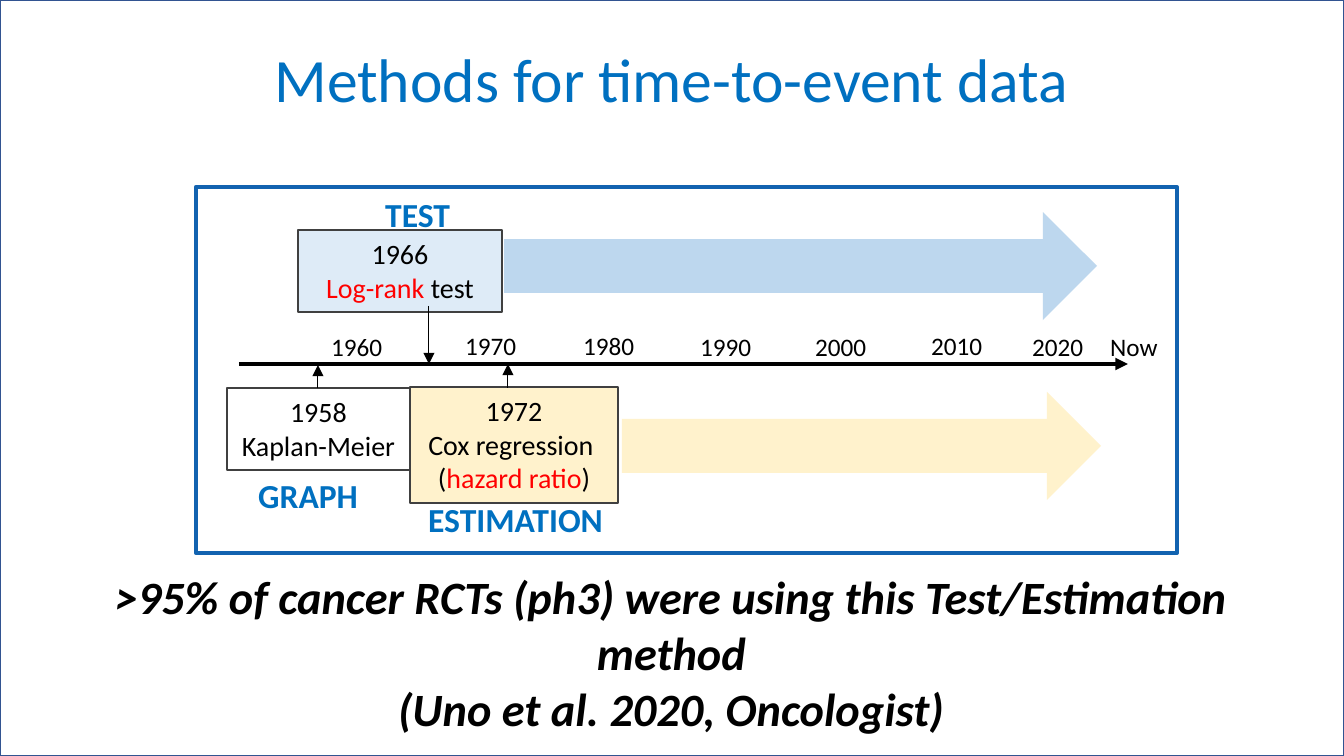
from dataclasses import dataclass
from typing import Any, Optional

from lxml.etree import SubElement
from pptx import Presentation
from pptx.dml.color import RGBColor
from pptx.enum.shapes import MSO_CONNECTOR as Connector, MSO_SHAPE as Preset
from pptx.enum.text import MSO_ANCHOR as Anchor, MSO_AUTO_SIZE as AutoSize, PP_ALIGN as Align
from pptx.oxml.ns import qn
from pptx.util import Emu, Pt

SLIDE_WIDTH, SLIDE_HEIGHT = 1344, 756
EMU_PER_PX = 9144000 / SLIDE_WIDTH
FONT = "Calibri"

BLACK = RGBColor(0x00, 0x00, 0x00)
WHITE = RGBColor(0xFF, 0xFF, 0xFF)
RED = RGBColor(0xFF, 0x00, 0x00)
HEADING_BLUE = RGBColor(0x00, 0x70, 0xC0)
BORDER_BLUE = RGBColor(0x32, 0x54, 0x91)
FRAME_BLUE = RGBColor(0x12, 0x63, 0xB0)
BOX_GRAY = RGBColor(0x40, 0x40, 0x40)
TEST_FILL = RGBColor(0xDE, 0xEB, 0xF7)
TEST_ARROW = RGBColor(0xBD, 0xD7, 0xEE)
ESTIMATION_FILL = RGBColor(0xFF, 0xF2, 0xCC)

YEAR_FORMAT = {"size": Pt(13.5)}
BOX_FORMAT = {"size": Pt(15)}
ROLE_FORMAT = {"size": Pt(18), "bold": True}
CLAIM_FORMAT = {"size": Pt(24.8), "bold": True, "italic": True}
TITLE_FORMAT = {"size": Pt(33)}


@dataclass(frozen=True)
class Area:
    left: int
    top: int
    width: int
    height: int

    def emu(self) -> list[Emu]:
        return [px(n) for n in (self.left, self.top, self.width, self.height)]


@dataclass(frozen=True)
class Run:
    text: str
    color: RGBColor = BLACK


@dataclass(frozen=True)
class Panel:
    area: Area
    fill: Optional[RGBColor] = None
    line: Optional[RGBColor] = None
    weight: float = 0.75
    preset: Any = Preset.RECTANGLE


@dataclass(frozen=True)
class Method:
    panel: Panel
    lines: list[list[Run]]
    wrap: bool = True


@dataclass(frozen=True)
class Label:
    text: str
    area: Area


@dataclass(frozen=True)
class Pointer:
    x: int
    start: int
    end: int


# Background and timeline frame
BACKDROPS = [
    Panel(Area(0, 0, SLIDE_WIDTH, SLIDE_HEIGHT), WHITE, BORDER_BLUE, 1),
    Panel(Area(196, 187, 981, 366), WHITE, FRAME_BLUE, 2.25),
]
METHODS = [
    Method(Panel(Area(227, 388, 183, 82), None, BOX_GRAY),
           [[Run("1958")], [Run("Kaplan-Meier")]], wrap=False),
    Method(Panel(Area(298, 230, 204, 82), TEST_FILL, BOX_GRAY),
           [[Run("1966")], [Run("Log-rank", RED), Run(" test")]]),
    Method(Panel(Area(410, 387, 208, 116), ESTIMATION_FILL, BOX_GRAY),
           [[Run("1972")], [Run("Cox regression ")],
            [Run("("), Run("hazard ratio", RED), Run(")")]]),
]
YEARS = [
    Label(text, Area(left, top, width, 44)) for text, left, top, width in (
        ("1960", 318, 325, 79), ("1970", 452, 324, 79), ("1980", 570, 324, 79),
        ("1990", 687, 325, 79), ("2000", 802, 325, 79), ("2010", 918, 324, 79),
        ("2020", 1019, 325, 79), ("Now", 1097, 325, 75))
]
ROLES = [
    Label("TEST", Area(372, 187, 93, 54)),
    Label("ESTIMATION", Area(415, 492, 203, 54)),
    Label("GRAPH", Area(245, 468, 128, 54)),
]
POINTERS = [Pointer(429, 306, 364), Pointer(318, 388, 365), Pointer(508, 388, 364)]
BLOCK_ARROWS = [
    Panel(Area(504, 212, 593, 108), TEST_ARROW, preset=Preset.RIGHT_ARROW),
    Panel(Area(622, 392, 479, 108), ESTIMATION_FILL, preset=Preset.RIGHT_ARROW),
]


def px(length: int) -> Emu:
    return Emu(round(length * EMU_PER_PX))


def write_lines(frame, lines: list[list[Run]], formats: dict, align=Align.CENTER) -> None:
    for index, runs in enumerate(lines):
        paragraph = frame.add_paragraph() if index else frame.paragraphs[0]
        paragraph.alignment = align
        for item in runs:
            run = paragraph.add_run()
            run.text = item.text
            run.font.color.rgb = item.color
            for name, value in {"name": FONT, **formats}.items():
                setattr(run.font, name, value)


def draw_panel(slide, panel: Panel):
    shape = slide.shapes.add_shape(panel.preset, *panel.area.emu())
    shape.shadow.inherit = False
    if panel.fill is None:
        shape.fill.background()
    else:
        shape.fill.solid()
        shape.fill.fore_color.rgb = panel.fill
    if panel.line is None:
        shape.line.fill.background()
    else:
        shape.line.color.rgb = panel.line
        shape.line.width = Pt(panel.weight)
    return shape


def draw_method(slide, method: Method) -> None:
    frame = draw_panel(slide, method.panel).text_frame
    frame.word_wrap = method.wrap
    frame.auto_size = AutoSize.SHAPE_TO_FIT_TEXT
    frame.vertical_anchor = Anchor.TOP
    write_lines(frame, method.lines, BOX_FORMAT)


def draw_label(slide, label: Label, color: RGBColor, formats: dict) -> None:
    frame = slide.shapes.add_textbox(*label.area.emu()).text_frame
    frame.word_wrap = False
    frame.auto_size = AutoSize.SHAPE_TO_FIT_TEXT
    write_lines(frame, [[Run(label.text, color)]], formats, Align.LEFT)


def draw_arrow(slide, x1: int, y1: int, x2: int, y2: int, weight: float) -> None:
    arrow = slide.shapes.add_connector(Connector.STRAIGHT, px(x1), px(y1), px(x2), px(y2))
    arrow.line.color.rgb = BLACK
    arrow.line.width = Pt(weight)
    SubElement(arrow.line._get_or_add_ln(), qn("a:tailEnd"), type="triangle")
    SubElement(arrow._element.spPr, qn("a:effectLst"))


def draw_claim(slide) -> None:
    frame = slide.shapes.add_textbox(*Area(26, 578, 1291, 148).emu()).text_frame
    frame.word_wrap = True
    frame.vertical_anchor = Anchor.MIDDLE
    write_lines(frame, [
        [Run(">95% of cancer RCTs (ph3) were using this Test/Estimation method")],
        [Run("(Uno et al. 2020, Oncologist)")],
    ], CLAIM_FORMAT)


def draw_title(slide) -> None:
    title = slide.shapes.title
    title.left, title.top, title.width, title.height = Area(218, 31, 907, 103).emu()
    title.text_frame.vertical_anchor = Anchor.MIDDLE
    write_lines(title.text_frame, [[Run("Methods for time-to-event data", HEADING_BLUE)]],
                TITLE_FORMAT)
    title.text_frame.paragraphs[0].line_spacing = 0.9
    # Bring the title in front of the background
    slide.shapes._spTree.append(title._element)


def main() -> None:
    presentation = Presentation()
    presentation.slide_width, presentation.slide_height = px(SLIDE_WIDTH), px(SLIDE_HEIGHT)
    slide = presentation.slides.add_slide(presentation.slide_layouts[5])

    for panel in BACKDROPS:
        draw_panel(slide, panel)

    # Time axis, methods and their dates
    draw_arrow(slide, 239, 364, 1128, 364, 2.25)
    for method in METHODS:
        draw_method(slide, method)
    for year in YEARS:
        draw_label(slide, year, BLACK, YEAR_FORMAT)
    for pointer in POINTERS:
        draw_arrow(slide, pointer.x, pointer.start, pointer.x, pointer.end, 0.5)
    for role in ROLES:
        draw_label(slide, role, HEADING_BLUE, ROLE_FORMAT)
    for panel in BLOCK_ARROWS:
        draw_panel(slide, panel)

    draw_claim(slide)
    draw_title(slide)
    presentation.save("out.pptx")


if __name__ == "__main__":
    main()
